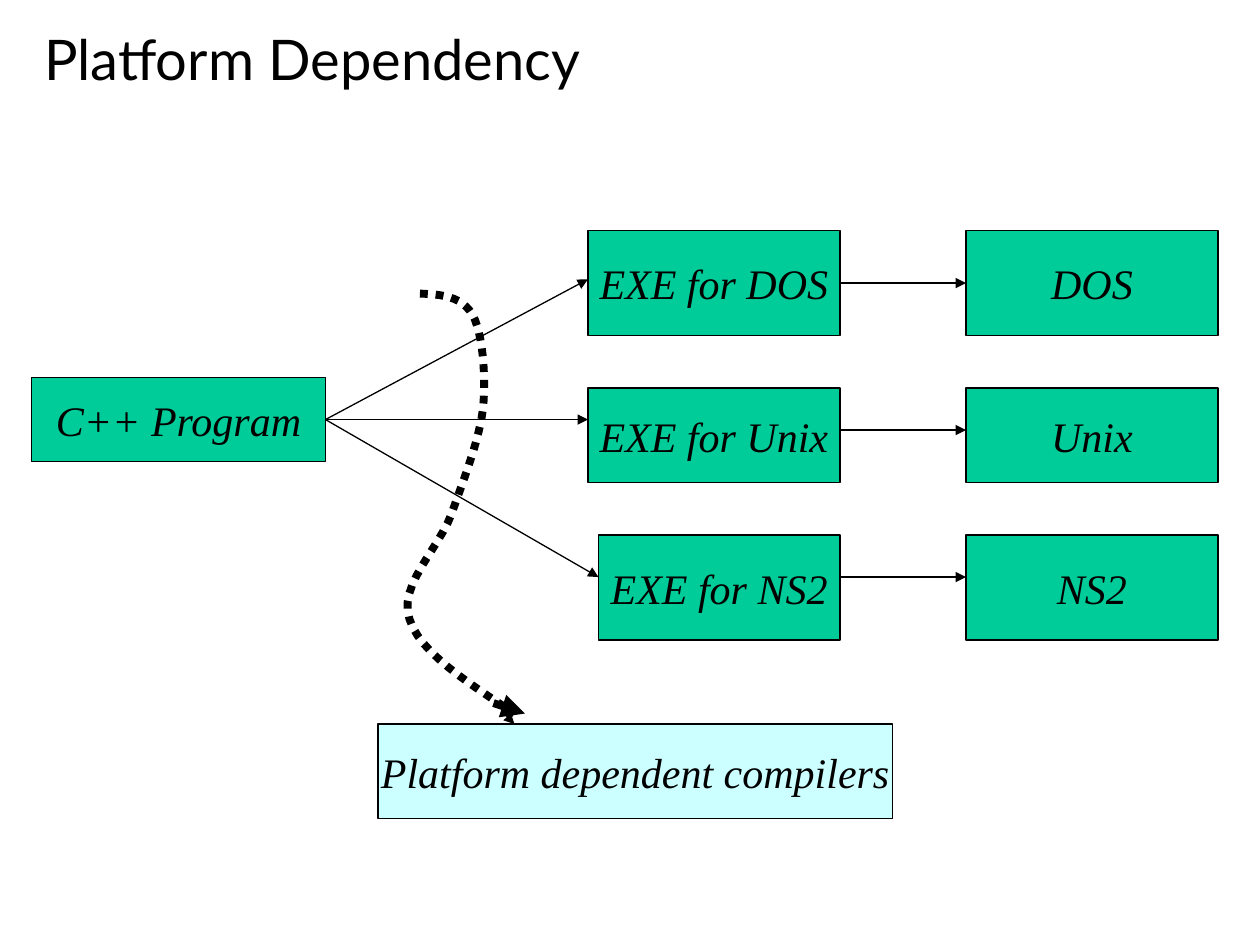
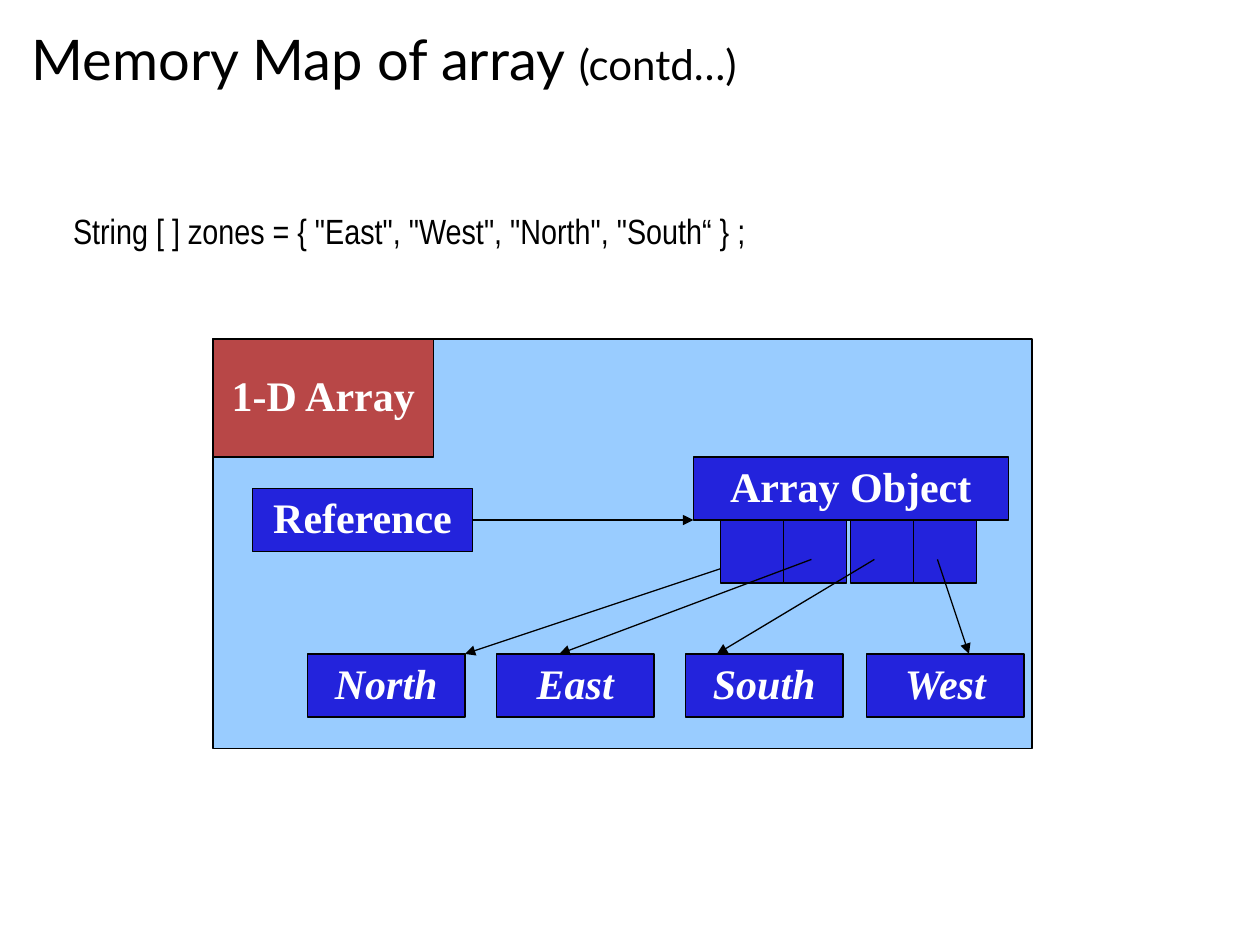
from dataclasses import dataclass
from typing import Any

from lxml.etree import SubElement as Sub
from pptx import Presentation
from pptx.dml.color import RGBColor as RGB
from pptx.enum.dml import MSO_LINE as Dash
from pptx.enum.shapes import MSO_CONNECTOR as Link, MSO_SHAPE as Kind
from pptx.enum.text import MSO_ANCHOR as Anchor, MSO_AUTO_SIZE as Fit, PP_ALIGN as Align
from pptx.oxml.ns import qn
from pptx.util import Inches, Pt

BLACK = RGB(0x00, 0x00, 0x00)
WHITE = RGB(0xFF, 0xFF, 0xFF)
GREEN = RGB(0x00, 0xCC, 0x99)
PALE = RGB(0xCC, 0xFF, 0xFF)
SKY = RGB(0x99, 0xCC, 0xFF)
BRICK = RGB(0xB8, 0x47, 0x47)
BLUE = RGB(0x23, 0x23, 0xDC)

HEAD, SERIF, CODE = "Lato", "Times New Roman", "Arial Narrow"
WIDE, HIGH = 10, 7.5
THIN, THICK = 0.75, 4.5


@dataclass
class Grid:
    """A region of a slide, measured in equal square cells."""
    slide: Any
    left: float
    top: float
    cell: float

    def spot(self, col, row):
        return Inches(self.left + col * self.cell), Inches(self.top + row * self.cell)

    def size(self, cols, rows):
        return Inches(cols * self.cell), Inches(rows * self.cell)


def add_run(para, text, size, font, color, bold=False, slant=False):
    run = para.add_run()
    run.text = text
    face = run.font
    face.name, face.size = font, Pt(size)
    face.bold, face.italic = bold, slant
    face.color.rgb = color


def set_frame(frame, side, edge, anchor=Anchor.MIDDLE, wrap=True):
    frame.auto_size = Fit.NONE
    frame.word_wrap = wrap
    frame.vertical_anchor = anchor
    frame.margin_left = frame.margin_right = Inches(side)
    frame.margin_top = frame.margin_bottom = Inches(edge)
    return frame.paragraphs[0]


def add_title(slide, parts, inset):
    title = slide.shapes.title
    title.left, title.top = Inches(0.25), Inches(0)
    title.width, title.height = Inches(0.95 * WIDE), Inches(0.92)
    para = set_frame(title.text_frame, inset, inset / 2)
    para.alignment = Align.LEFT
    for text, size in parts:
        add_run(para, text, size, HEAD, BLACK)


def add_box(grid, box, fill, text="", color=BLACK, bold=False, slant=False,
            kind=Kind.RECTANGLE, space=1.0, wrap=False):
    col, row, cols, rows = box
    shape = grid.slide.shapes.add_shape(kind, *grid.spot(col, row), *grid.size(cols, rows))
    shape.shadow.inherit = False
    shape.fill.solid()
    shape.fill.fore_color.rgb = fill
    shape.line.color.rgb = BLACK
    shape.line.width = Pt(THIN)
    if kind == Kind.ROUNDED_RECTANGLE:
        shape.adjustments[0] = 0
    if text:
        para = set_frame(shape.text_frame, 0.1, 0.05, wrap=wrap)
        para.alignment = Align.CENTER
        para.line_spacing = space
        add_run(para, text, 24, SERIF, color, bold, slant)


def add_arrow(grid, start, end, width=THIN):
    line = grid.slide.shapes.add_connector(Link.STRAIGHT, *grid.spot(*start), *grid.spot(*end))
    line.line.color.rgb = BLACK
    line.line.width = Pt(width)
    Sub(line.line._get_or_add_ln(), qn("a:tailEnd"), type="triangle")
    Sub(line._element.spPr, qn("a:effectLst"))


def bend(points, steps=12):
    """Points along one cubic curve, without its start."""
    for step in range(1, steps + 1):
        t = step / steps
        u = 1 - t
        parts = (u ** 3, 3 * u * u * t, 3 * u * t * t, t ** 3)
        yield tuple(sum(p * pt[axis] for p, pt in zip(parts, points)) for axis in (0, 1))


def add_curve(grid, start, bends):
    path, last = [], start
    for turn in bends:
        path += bend((last, *turn))
        last = turn[-1]
    pen = grid.slide.shapes.build_freeform(*grid.spot(*start))
    pen.add_line_segments([grid.spot(*pt) for pt in path], close=False)
    shape = pen.convert_to_shape()
    shape.shadow.inherit = False
    shape.fill.background()
    shape.line.color.rgb = BLACK
    shape.line.width = Pt(THICK)
    shape.line.dash_style = Dash.ROUND_DOT


def draw_flow(grid):
    """One program, compiled once for each system."""
    def node(box, text, fill=GREEN):
        add_box(grid, box, fill, text, slant=True)

    # Column edges: program end, system start
    end, exe, goal = 28, 77, 89
    add_arrow(grid, (45, 46), (46, 47))
    node((0, 14, end, 8), "C++ Program")

    # System, left of its program, top, height, arrow row in, arrow row out
    rows = (("DOS", 53, 0, 10, 4.64, 5),
            ("Unix", 53, 15, 9, 18, 19),
            ("NS2", 54, 29, 10, 33, 33))
    for name, left, top, high, into, out in rows:
        node((left, top, exe - left, high), f"EXE for {name}")
        node((goal, top, 24, high), name)
        add_arrow(grid, (end, 18), (left, into))
        add_arrow(grid, (exe, out), (goal, out))

    # Dotted curve through the arrows to the compilers
    add_curve(grid, (37, 6), (
        ((39, 6.1), (40.9, 6.2), (42, 8)),
        ((43, 9.8), (43.3, 13.9), (43, 17)),
        ((42.6, 20.1), (41.2, 23.6), (40, 27)),
        ((38.8, 30.3), (34.9, 33.8), (36, 37)),
        ((37, 40.2), (41.5, 43), (46, 46))))
    node((33, 47, 49, 9), "Platform dependent compilers", PALE)
    add_arrow(grid, (44, 45), (47, 46), THICK)


def draw_map(grid):
    """An array reference, its object and the strings it holds."""
    def block(box, fill=BLUE, text="", slant=False):
        add_box(grid, box, fill, text, WHITE, True, slant,
                Kind.ROUNDED_RECTANGLE, 0.9, True)

    # Panel and label
    block((0, 0, 104, 52), SKY)
    block((0, 0, 28, 15), BRICK, "1-D Array")

    # Reference to the array object
    block((5, 19, 28, 8), text="Reference")
    add_arrow(grid, (33, 23), (61, 23))
    block((61, 15, 40, 8), text="Array Object")

    # Strings and their arrows; the first cell covers its arrow's start
    zones = (("North", 12, 32), ("East", 36, 44), ("South", 60, 64), ("West", 83, 96))
    slots = (64.5, 72.5, 81, 89)
    for i, (name, left, tip) in enumerate(zones):
        block((left, 40, 20, 8), text=name, slant=True)
        add_arrow(grid, (68 + 8 * i, 28), (tip, 40))
        if i == 0:
            for slot in slots:
                block((slot, 23, 8, 8))


def add_code(slide, text):
    box = slide.shapes.add_textbox(Inches(0.58), Inches(1.66), Inches(8.83), Inches(0.4))
    para = set_frame(box.text_frame, 0, 0, Anchor.TOP)
    add_run(para, text, 20, CODE, BLACK)


def main():
    deck = Presentation()
    deck.slide_width, deck.slide_height = Inches(WIDE), Inches(HIGH)
    plain = deck.slide_layouts[5]

    # Platform slide
    slide = deck.slides.add_slide(plain)
    add_title(slide, [("Platform Dependency", 32)], 0.1)
    draw_flow(Grid(slide, 0.25, 1.83, 1 / 12))

    # Array slide
    slide = deck.slides.add_slide(plain)
    add_title(slide, [("Memory Map of array ", 32), ("(contd…)", 24)], 0)
    add_code(slide, 'String [ ] zones = { "East", "West", "North", "South“ } ;')
    draw_map(Grid(slide, 1.69, 2.69, 1 / 16))

    deck.save("out.pptx")


if __name__ == "__main__":
    main()
